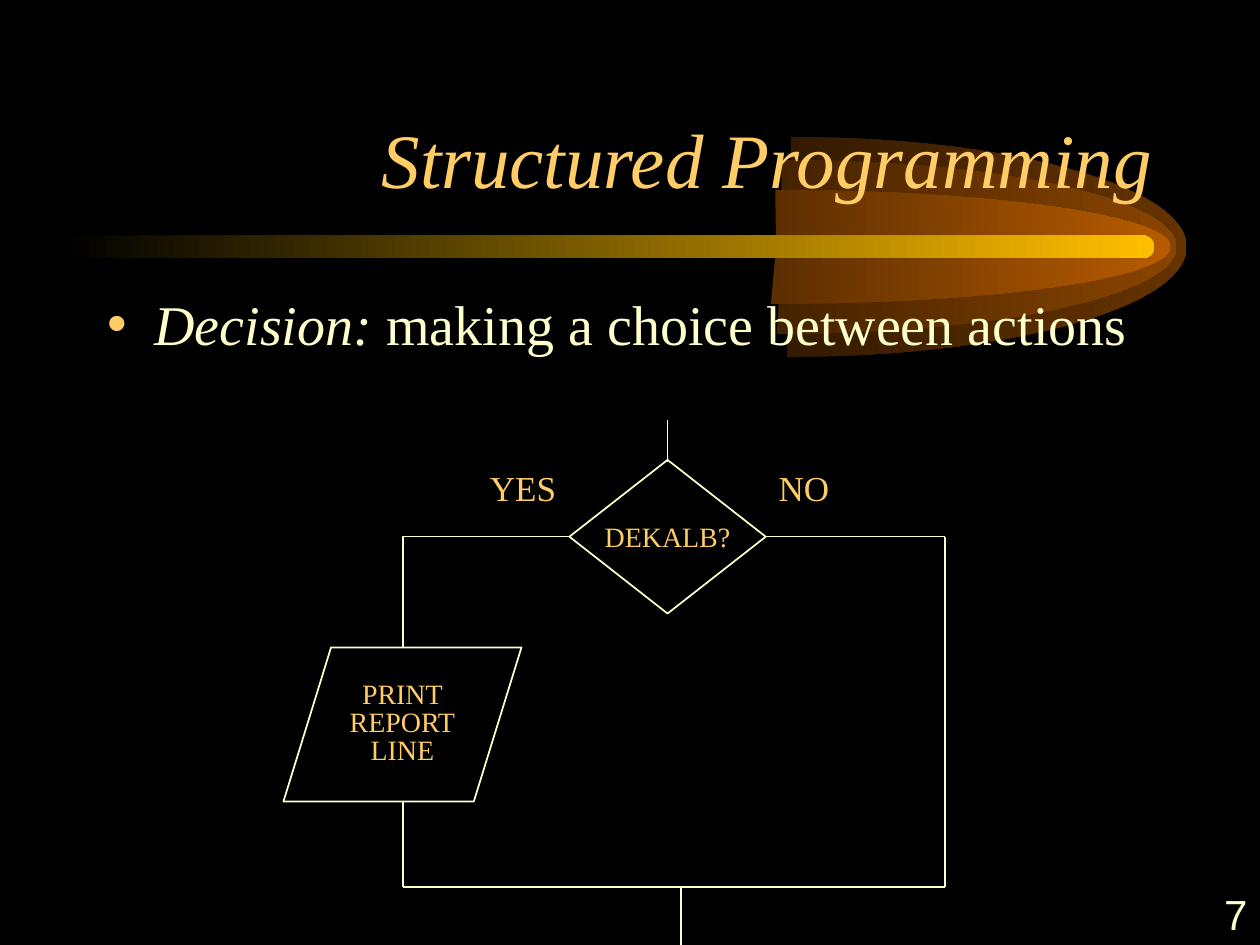
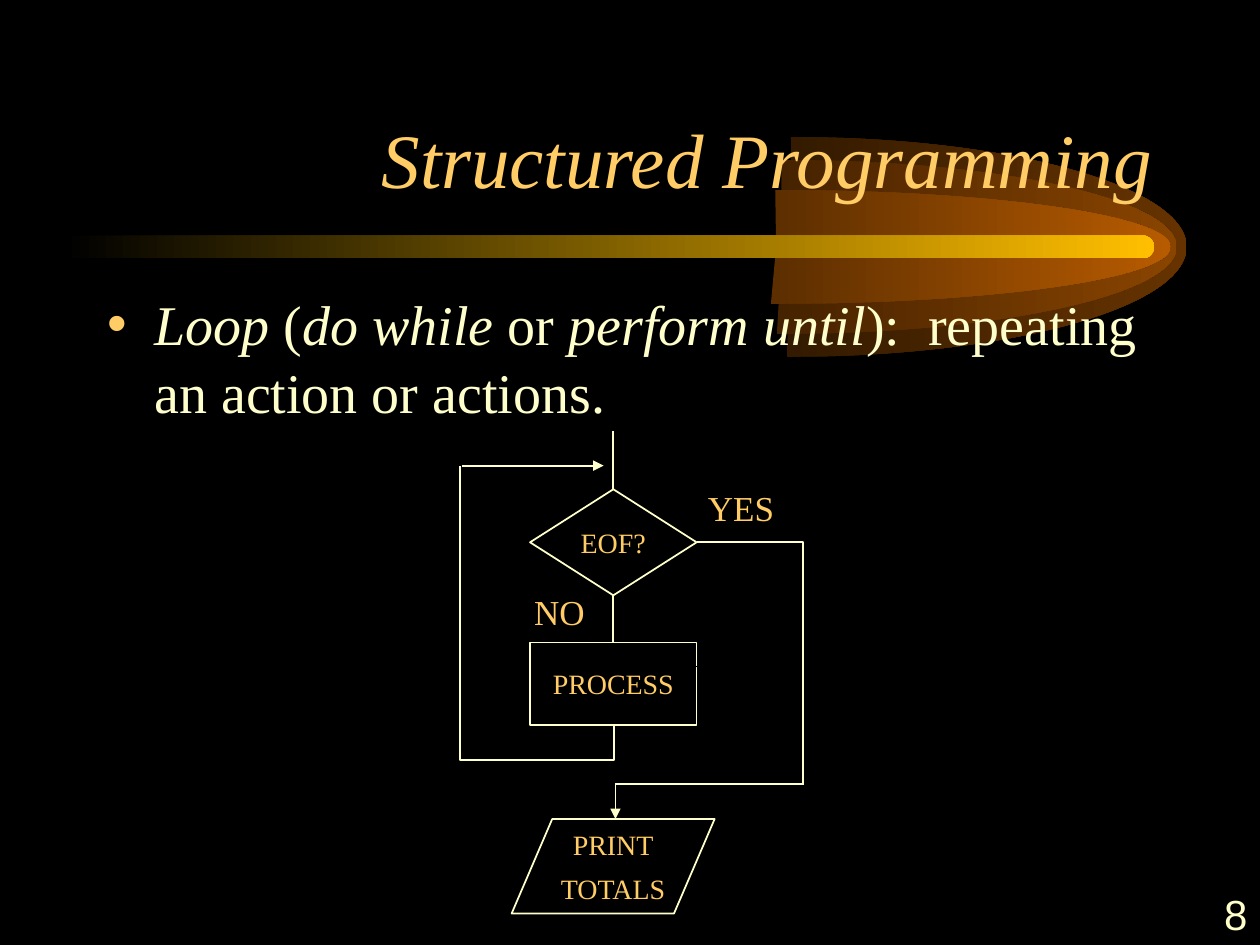
"""Build two flowchart slides on decisions and loops in structured programming."""
import pptx
import pptx.dml.color
import pptx.enum.shapes
import pptx.enum.text
import pptx.oxml
import pptx.oxml.ns
import pptx.util

Pt = pptx.util.Pt
qn = pptx.oxml.ns.qn
Tag = pptx.oxml.parse_xml
Hue = pptx.dml.color.RGBColor.from_string
Form = pptx.enum.shapes.MSO_SHAPE
Wire = pptx.enum.shapes.MSO_CONNECTOR
Side = pptx.enum.text.PP_ALIGN
Hold = pptx.enum.text.MSO_ANCHOR
Fit = pptx.enum.text.MSO_AUTO_SIZE
NS = pptx.oxml.ns.nsdecls("a")

COLORS = {
    "black": "000000", "cream": "FFFFCC", "gold": "FFCC66", "amber": "FFBF00",
    "brown": "663300", "rust": "894400", "flame": "B75B00",
    "brown half": "331A00", "rust half": "452200", "flame half": "5C2E00",
}
SERIF = "Times New Roman"
LOOKS = {
    "title": {
        "hue": "gold", "font": {"name": SERIF, "size": Pt(44), "italic": True},
        "para": {"alignment": Side.RIGHT},
        "frame": {"vertical_anchor": Hold.BOTTOM, "auto_size": Fit.NONE}},
    "body": {
        "hue": "cream", "font": {"name": SERIF, "size": Pt(32)},
        "para": {"space_before": Pt(8)},
        "frame": {"vertical_anchor": Hold.TOP, "auto_size": Fit.NONE}},
    "node": {
        "hue": "gold", "font": {"name": SERIF, "size": Pt(16)},
        "para": {"alignment": Side.CENTER, "space_before": Pt(6)},
        "frame": {"vertical_anchor": Hold.MIDDLE, "word_wrap": False}},
    "label": {
        "hue": "gold", "font": {"name": SERIF, "size": Pt(20)},
        "para": {"space_before": Pt(7.5)},
        "frame": {"auto_size": Fit.SHAPE_TO_FIT_TEXT, "word_wrap": False}},
    "number": {
        "hue": "cream", "font": {"name": "Arial", "size": Pt(24)},
        "para": {"alignment": Side.RIGHT},
        "frame": {"vertical_anchor": Hold.MIDDLE, "word_wrap": True}},
}
PAGES = [
    {
        "number": "7",
        "body": ["Decision:", " making a choice between actions"],
        "nodes": [
            (Form.FLOWCHART_DECISION, (325.4, 262.8, 112.2, 87.8), ["DEKALB?"], [1]),
            (Form.FLOWCHART_DATA, (162, 370, 136, 88),
             ["PRINT", "REPORT", "LINE"], [0.7, 0.5, 0.5]),
        ],
        "labels": [("YES", 272.9, 262.8, 54), ("NO", 437.8, 262.8, 44)],
        "wires": [
            ((325.4, 306.6, 230.2, 370), "cream", "elbow"),
            ((230.2, 458, 230.2, 507), "cream", ""),
            ((230.2, 507, 540, 507), "cream", ""),
            ((540, 507, 540, 306.6), "cream", ""),
            ((540, 306.6, 437.6, 306.6), "cream", ""),
            ((389.3, 507, 389.3, 540), "cream", ""),
            ((381.5, 240, 381.5, 264), "cream", ""),
        ],
    },
    {
        "number": "8",
        "body": ["Loop", " (", "do while", " or ", "perform until",
                 "):  repeating an action or actions."],
        "nodes": [
            (Form.FLOWCHART_PROCESS, (302.9, 367.2, 95.2, 47), ["PROCESS"], [1]),
            (Form.FLOWCHART_DATA, (292.4, 468, 116, 54), ["PRINT", "TOTALS"], [1, 1]),
            (Form.FLOWCHART_DECISION, (302.9, 279.6, 95.2, 60.6), ["EOF?"], [1]),
        ],
        "labels": [("YES", 397.4, 274.3, 54), ("NO", 298.1, 333.8, 44)],
        "wires": [
            ((350.5, 246.2, 350.5, 280), "cream", ""),
            ((350.5, 340.2, 350.5, 367.2), "cream", ""),
            ((232.8, 384, 380.8, 296.2), "cream", "return"),
            ((264, 266.1, 344.9, 266.1), "cream", "arrow"),
            ((398.1, 309.8, 458.8, 447.8), "cream", "elbow"),
            ((351.7, 447.8, 351.7, 468), "cream", "arrow"),
            ((459.2, 447.9, 351.7, 447.9), "cream", ""),
            ((305.3, 380.9, 399.6, 380.9), "black", ""),
        ],
    },
]


def write(frame, lines, kind):
    """Fill a text frame with paragraphs, each a list of runs."""
    look = LOOKS[kind]
    for key, val in look["frame"].items():
        setattr(frame, key, val)
    for i, runs in enumerate(lines):
        para = frame.paragraphs[0] if i == 0 else frame.add_paragraph()
        for key, val in look["para"].items():
            setattr(para, key, val)
        for words in runs:
            run = para.add_run()
            run.text = words
            for key, val in look["font"].items():
                setattr(run.font, key, val)
            run.font.color.rgb = Hue(COLORS[look["hue"]])


def shade(shape, left, right):
    """Give a shape a gradient from left to right and no outline."""
    shape.shadow.inherit = False
    shape.line.fill.background()
    shape.fill.gradient()
    shape.fill.gradient_angle = 0
    for stop, hue in zip(shape.fill.gradient_stops, (left, right)):
        stop.color.rgb = Hue(COLORS[hue])


deck = pptx.Presentation()
deck.slide_width, deck.slide_height = Pt(720), Pt(540)
base = deck.slide_layouts[1]
base.background.fill.solid()
base.background.fill.fore_color.rgb = Hue(COLORS["black"])
spots = [(54, 30, 612, 90), (54, 162, 612, 324)]
for holder, spot in zip(base.placeholders, spots):
    for key, val in zip(("left", "top", "width", "height"), spot):
        setattr(holder, key, Pt(val))

slides = [deck.slides.add_slide(base) for page in PAGES]

decor = []
flares = [("brown", 452, 62.8), ("rust", 446.4, 49.7), ("flame", 443, 32.5)]
bends = [(0, -1), (0.55, -1), (1, -0.55), (1, 0), (1, 0.55), (0.55, 1), (0, 1)]
for hue, left, high in flares:
    dots = [(Pt(left + 226 * x), Pt(141.1 + high * y)) for x, y in bends]
    dots[-1] = (Pt(left - 2.5), dots[-1][1])
    pen = slides[0].shapes.build_freeform(*dots[0], scale=1)
    pen.add_line_segments(dots[1:] + [(Pt(left + 0.5), Pt(141.1))], close=True)
    flare = pen.convert_to_shape()
    lines = list(flare.element.iter(qn("a:lnTo")))
    for start in (0, 3):
        curve = Tag(f"<a:cubicBezTo {NS}/>")
        lines[start].addprevious(curve)
        for line in lines[start:start + 3]:
            curve.append(line[0])
            line.getparent().remove(line)
    shade(flare, hue + " half", hue)
    decor.append(flare)
bar = slides[0].shapes.add_shape(Form.ROUNDED_RECTANGLE, Pt(36), Pt(134.6), Pt(623.5), Pt(13))
bar.adjustments[0] = 0.5
shade(bar, "black", "amber")
decor.append(bar)
for shape in decor:
    base.shapes.element.append(shape.element)

for slide, page in zip(slides, PAGES):
    write(slide.shapes.title.text_frame, [["Structured Programming"]], "title")
    body = slide.placeholders[1].text_frame
    write(body, [page["body"]], "body")
    para = body.paragraphs[0]
    for i, run in enumerate(para.runs):
        run.font.italic = i % 2 == 0
    gold = COLORS["gold"]
    mark = Tag(f'<a:buClr {NS}><a:srgbClr val="{gold}"/></a:buClr>')
    para._p.get_or_add_pPr().append(mark)

    for form, spot, lines, gaps in page["nodes"]:
        node = slide.shapes.add_shape(form, *map(Pt, spot))
        node.shadow.inherit = False
        node.fill.background()
        node.line.color.rgb = Hue(COLORS["cream"])
        node.line.width = Pt(1)
        write(node.text_frame, [[line] for line in lines], "node")
        for para, gap in zip(node.text_frame.paragraphs, gaps):
            para.line_spacing = float(gap)

    for words, left, top, wide in page["labels"]:
        label = slide.shapes.add_textbox(Pt(left), Pt(top), Pt(wide), Pt(31.5))
        write(label.text_frame, [[words]], "label")

    for ends, hue, kind in page["wires"]:
        bent = kind in ("elbow", "return")
        wire = slide.shapes.add_connector(Wire.ELBOW if bent else Wire.STRAIGHT, *map(Pt, ends))
        wire.line.color.rgb = Hue(COLORS[hue])
        wire.line.width = Pt(1)
        props = wire.element.spPr
        geom = props.find(qn("a:prstGeom"))
        if kind == "elbow":
            geom.set("prst", "bentConnector2")
        if kind == "return":
            props.find(qn("a:xfrm")).set("rot", "16200000")
            for old in list(geom):
                geom.remove(old)
            geom.append(Tag(f'<a:avLst {NS}><a:gd name="adj1" fmla="val -13600"/></a:avLst>'))
        if kind == "arrow":
            props.find(qn("a:ln")).append(Tag(f'<a:tailEnd {NS} type="triangle"/>'))
        props.append(Tag(f"<a:effectLst {NS}/>"))

    number = slide.shapes.add_textbox(Pt(570), Pt(504), Pt(150), Pt(36))
    write(number.text_frame, [[page["number"]]], "number")

deck.save("out.pptx")
